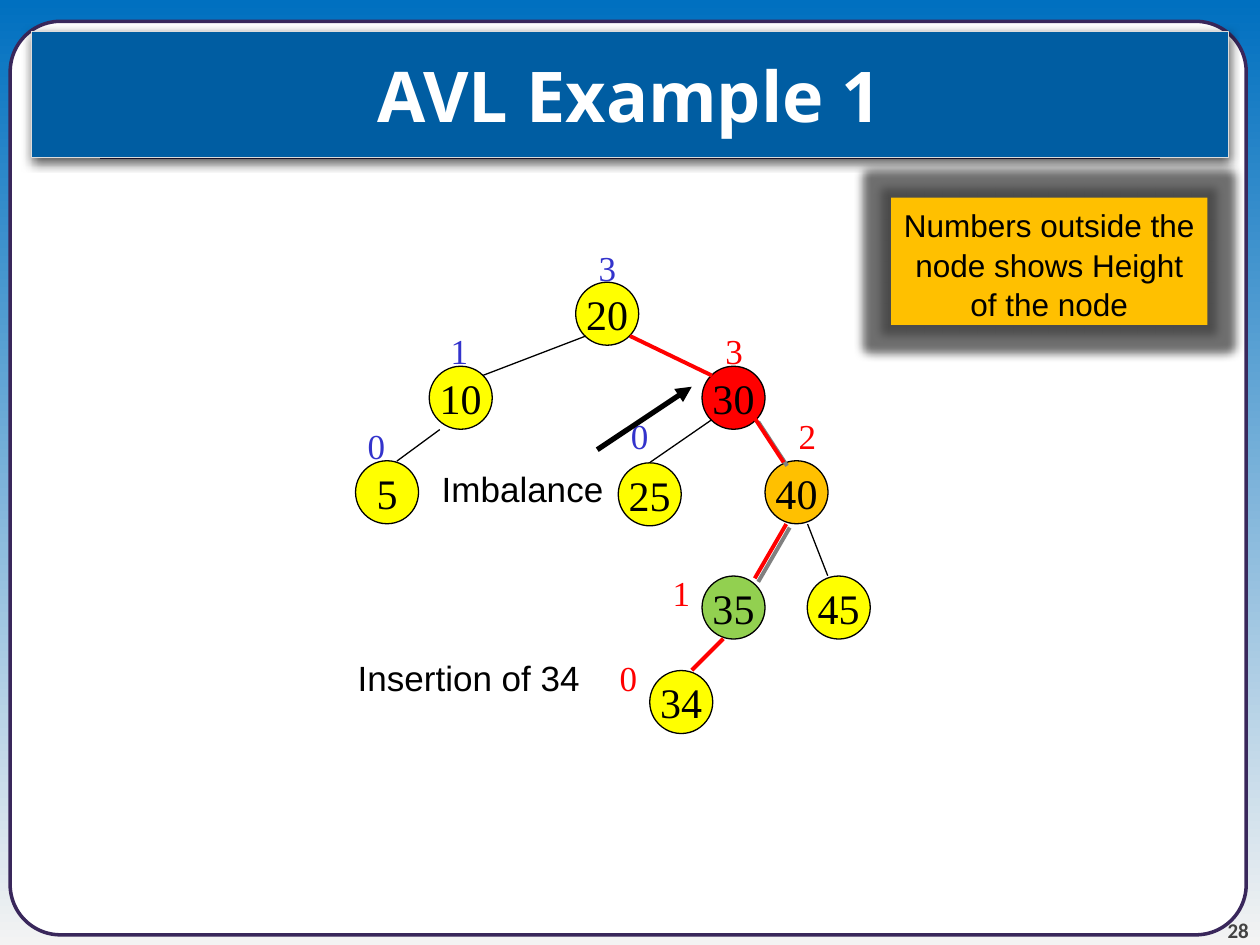
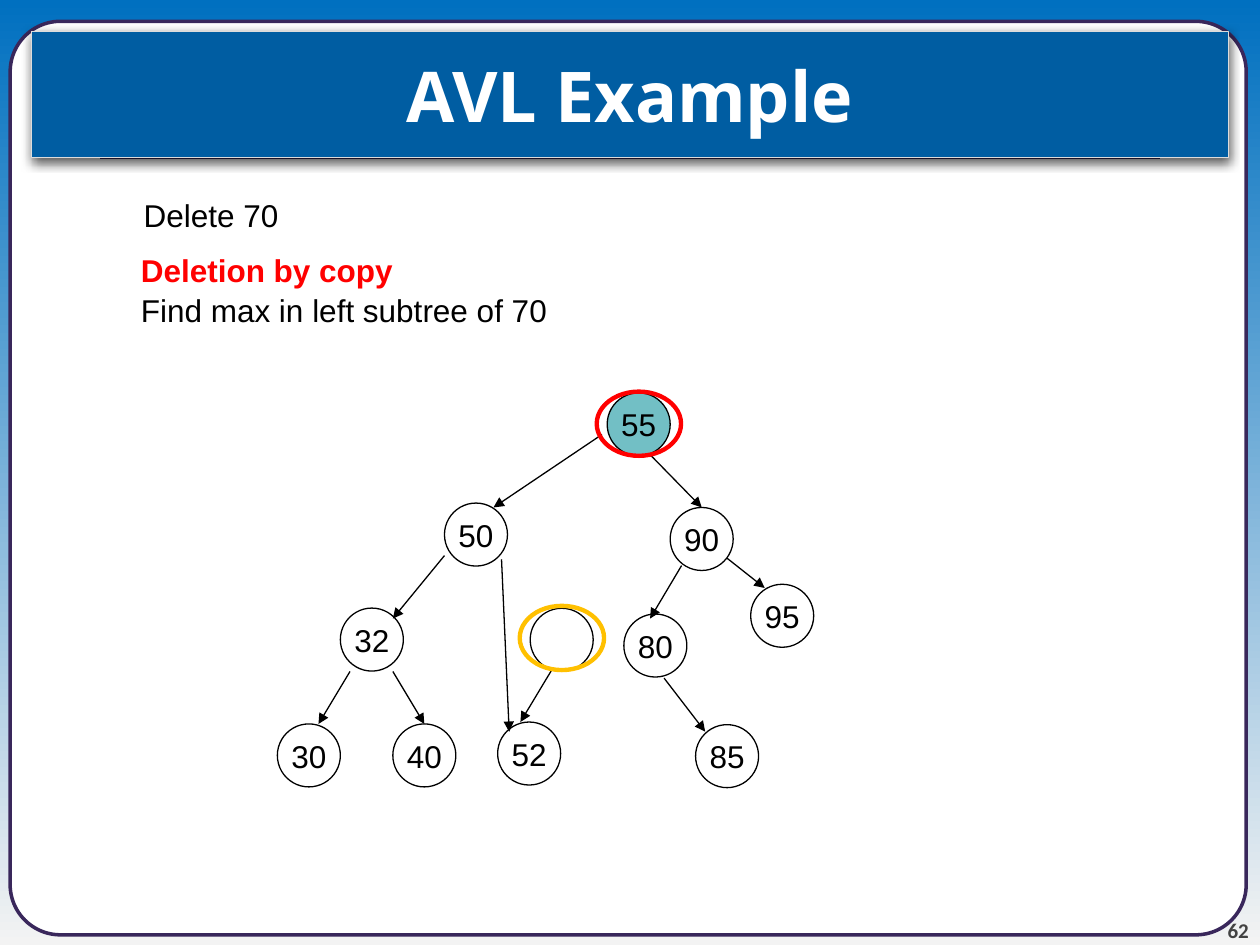
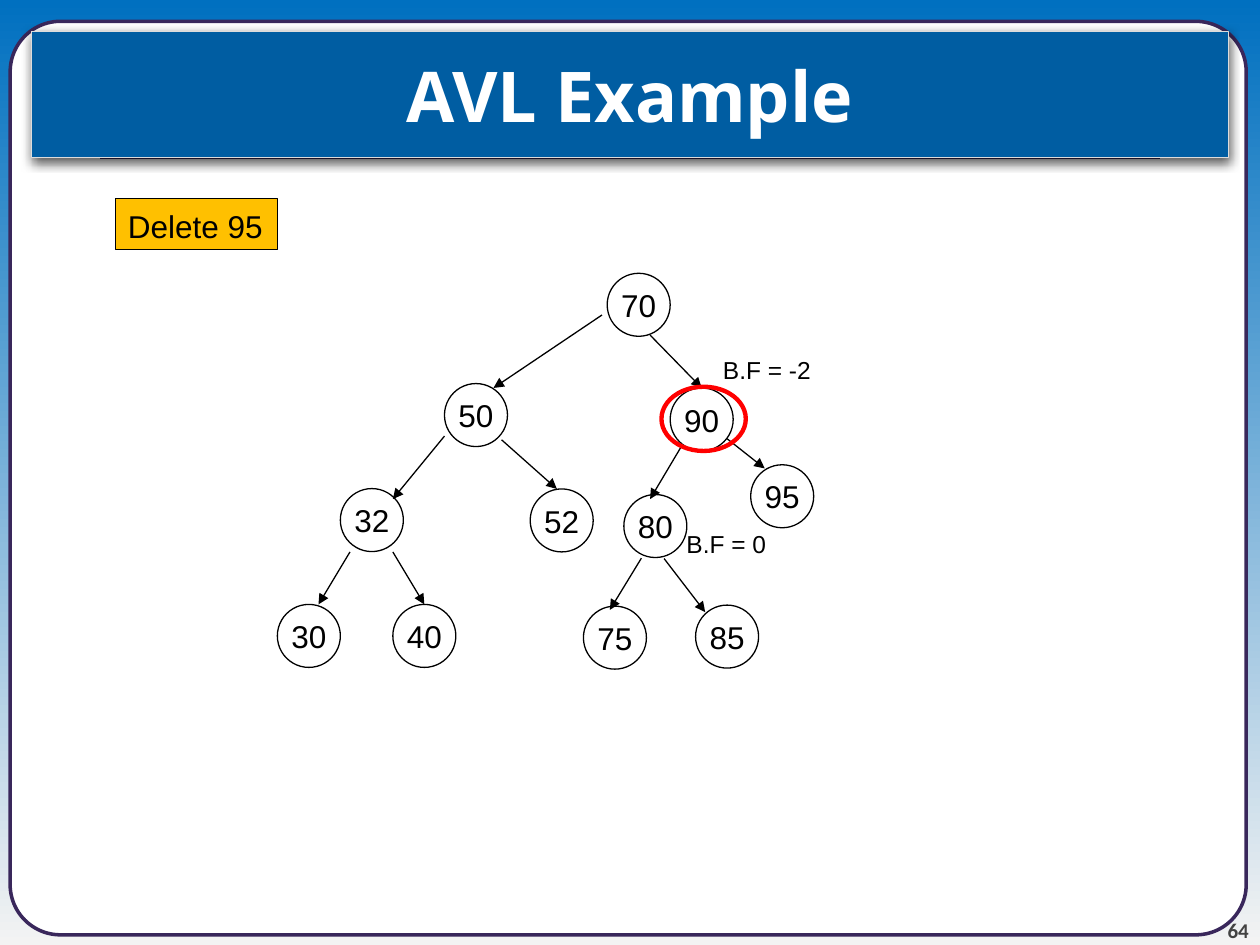
from lxml.etree import SubElement
from pptx import Presentation
from pptx.dml.color import RGBColor
from pptx.enum.shapes import MSO_CONNECTOR, MSO_SHAPE
from pptx.enum.text import MSO_ANCHOR, PP_ALIGN
from pptx.oxml.ns import qn
from pptx.util import Pt

BLACK, WHITE, RED = "000000", "FFFFFF", "FF0000"
BLUE, YELLOW, AMBER = "3333CC", "FFFF00", "FFC000"
GREEN, TEAL, GREY = "92D050", "72BFC5", "808080"
PURPLE, TITLE_BLUE = "39275B", "005DA2"
SANS, SERIF = "Arial", "Times New Roman"
NODE = 36

# Tree shared by the deletion slides; y is measured from the top of the root.
TREE_NODES = [
    ("50", 254, 63, None), ("32", 194.5, 123, None),
    ("30", 158.5, 189.2, None), ("40", 224.5, 189.2, None),
    ("90", 383, 65.5, WHITE), ("95", 429, 109.4, None),
    ("80", 356.5, 126.4, None), ("85", 397.5, 189.6, WHITE),
]
TREE_EDGES = [
    (344, 23.8, 282, 65.5), (371.5, 35.3, 401, 65.5),
    (254, 93, 224.5, 129), (200, 159.2, 182, 189.2),
    (224.5, 159.2, 242.5, 189.2), (415.5, 94.5, 437, 111.5),
    (389.5, 98.7, 371.5, 129), (379.5, 163, 403, 193.6),
]


def rgb(color):
    return RGBColor.from_string(color)


def set_effect(sp, kind=None, color=BLACK, alpha=100, **attrs):
    """Replace the theme effects with one glow or shadow, or with none."""
    sp_pr = sp.element.spPr
    for old in sp_pr.findall(qn("a:effectLst")):
        sp_pr.remove(old)
    effects = SubElement(sp_pr, qn("a:effectLst"))
    if kind:
        effect = SubElement(effects, qn("a:" + kind),
                            {k: str(v) for k, v in attrs.items()})
        clr = SubElement(effect, qn("a:srgbClr"), val=color)
        SubElement(clr, qn("a:alpha"), val=str(alpha * 1000))


def add_figure(s, kind, x, y, w, h, fill=None, line=None, width=0.75):
    sp = s.shapes.add_shape(kind, Pt(x), Pt(y), Pt(w), Pt(h))
    if fill:
        sp.fill.solid()
        sp.fill.fore_color.rgb = rgb(fill)
    else:
        sp.fill.background()
    if line:
        sp.line.color.rgb = rgb(line)
        sp.line.width = Pt(width)
    else:
        sp.line.fill.background()
    set_effect(sp)
    return sp


def write(sp, lines, size, font=SANS, color=BLACK, bold=False,
          align=PP_ALIGN.LEFT, anchor=MSO_ANCHOR.TOP, wrap=False, spacing=1.0):
    """Fill a shape with lines, each a text or a (text, color, bold) tuple."""
    tf = sp.text_frame
    tf.word_wrap = wrap
    tf.vertical_anchor = anchor
    for i, line in enumerate(lines):
        text, c, b = (line, color, bold) if isinstance(line, str) else line
        p = tf.add_paragraph() if i else tf.paragraphs[0]
        p.alignment = align
        p.line_spacing = spacing
        r = p.add_run()
        r.text = text
        r.font.name = font
        r.font.size = Pt(size)
        r.font.bold = b
        r.font.color.rgb = rgb(c)


def add_label(s, x, y, w, h, lines, size, **style):
    box = s.shapes.add_textbox(Pt(x), Pt(y), Pt(w), Pt(h))
    write(box, lines, size, **style)
    return box


def add_height(s, text, x, y, color):
    add_label(s, x, y, 24.5, 31.5, [text], 20, font=SERIF, color=color)


def add_node(s, text, x, y, fill=None, size=18, font=SANS):
    sp = add_figure(s, MSO_SHAPE.OVAL, x, y, NODE, NODE, fill, BLACK)
    if text:
        write(sp, [text], size, font, align=PP_ALIGN.CENTER,
              anchor=MSO_ANCHOR.MIDDLE)


def add_ring(s, x, y, color):
    add_figure(s, MSO_SHAPE.OVAL, x, y, 48.2, 36.7, None, color, 2.5)


def add_edge(s, x1, y1, x2, y2, color=BLACK, width=0.75, arrow=False,
             shadow=False):
    c = s.shapes.add_connector(MSO_CONNECTOR.STRAIGHT,
                               Pt(x1), Pt(y1), Pt(x2), Pt(y2))
    c.line.color.rgb = rgb(color)
    c.line.width = Pt(width)
    if arrow:
        SubElement(c.line._get_or_add_ln(), qn("a:tailEnd"), type="triangle")
    if shadow:
        set_effect(c, "outerShdw", GREY, dist=Pt(2.8), dir=45 * 60000)
    else:
        set_effect(c)


def add_slide(prs, title, number):
    s = prs.slides.add_slide(prs.slide_layouts[6])
    fill = s.background.fill
    fill.gradient()
    fill.gradient_angle = 270
    for stop, color in zip(fill.gradient_stops, ("0070C0", "F3F3F3")):
        stop.color.rgb = rgb(color)

    frame = add_figure(s, MSO_SHAPE.ROUNDED_RECTANGLE, 5.8, 12.2, 706.3, 522,
                       WHITE, PURPLE, 2)
    frame.adjustments[0] = 0.055
    box = add_label(s, 653.8, 509.8, 59.8, 28.8, [str(number)], 12,
                    font="Calibri", color="424242", bold=True,
                    align=PP_ALIGN.RIGHT, anchor=MSO_ANCHOR.BOTTOM, wrap=True)
    tf = box.text_frame
    tf.margin_left = tf.margin_right = tf.margin_top = tf.margin_bottom = 0
    add_edge(s, 57, 90, 663, 90, PURPLE, 2.25)
    band = add_figure(s, MSO_SHAPE.RECTANGLE, 18, 18, 684, 72,
                      TITLE_BLUE, "DCDCDC")
    set_effect(band, "outerShdw", alpha=63, blurRad=Pt(6), dist=Pt(2),
               dir=90 * 60000)
    write(band, [title], 40, "Open Sans", WHITE, True, PP_ALIGN.CENTER,
          MSO_ANCHOR.MIDDLE, wrap=True)
    return s


def add_deletion_tree(s, root, top, root_fill=None):
    add_node(s, root, 347, top, root_fill)
    for text, x, y, fill in TREE_NODES:
        add_node(s, text, x, top + y, fill)
    for x1, y1, x2, y2 in TREE_EDGES:
        add_edge(s, x1, top + y1, x2, top + y2, arrow=True)


def add_insertion_slide(prs):
    s = add_slide(prs, "AVL Example 1", 28)
    for text, x, y, color in [
            ("3", 407.5, 185, RED), ("0", 353.5, 233.3, BLUE),
            ("3", 335, 137.5, BLUE), ("1", 250.5, 185, BLUE),
            ("2", 449.3, 233.3, RED), ("0", 203, 239, BLUE),
            ("0", 347, 371.5, RED), ("1", 377.3, 323.3, RED)]:
        add_height(s, text, x, y, color)
    for text, x, y, fill in [
            ("20", 329, 161.3, YELLOW), ("10", 245.3, 209.3, YELLOW),
            ("30", 401.2, 209.3, RED), ("25", 353.3, 264.5, YELLOW),
            ("40", 437.2, 263.3, AMBER), ("5", 203.2, 263.3, YELLOW),
            ("45", 461.3, 329.2, YELLOW), ("35", 401.2, 329.2, GREEN),
            ("34", 371.3, 383.2, YELLOW)]:
        add_node(s, text, x, y, fill, 24, SERIF)
    for ends in [(334.8, 192, 275.8, 214.6), (406.8, 239.8, 371.5, 264.2),
                 (251.3, 245.5, 226.8, 263.5), (461.5, 299.5, 473, 329)]:
        add_edge(s, *ends)
    for *ends, shadow in [(360, 192, 406.8, 214.6, False),
                          (431.3, 239, 447.8, 264.2, True),
                          (449.3, 299.5, 431.3, 330.5, True),
                          (413.3, 365, 395.3, 383, False)]:
        add_edge(s, *ends, RED, 2.25, shadow=shadow)
    add_edge(s, 341.3, 257, 395.3, 221, width=3, arrow=True)
    add_label(s, 245.3, 263.5, 108, 31.5, ["Imbalance"], 20, wrap=True)
    add_label(s, 197.3, 371.5, 149.8, 31.5, ["Insertion of 34"], 20, wrap=True)
    note = add_figure(s, MSO_SHAPE.RECTANGLE, 509.2, 113, 180.7, 72.7, AMBER)
    set_effect(note, "glow", "404040", 75, rad=Pt(11))
    write(note, ["Numbers outside the node shows Height of the node"], 18,
          align=PP_ALIGN.CENTER, wrap=True, spacing=1.05)


def add_copy_deletion_slide(prs):
    s = add_slide(prs, "AVL Example", 62)
    add_deletion_tree(s, "55", 224.5, TEAL)
    add_node(s, "", 303, 347.6)
    add_node(s, "52", 284.4, 412.6)
    add_edge(s, 286.6, 319.6, 291, 418.2, arrow=True)
    add_edge(s, 315.2, 383, 297.4, 412.6, arrow=True)
    add_ring(s, 341, 223.8, RED)
    add_ring(s, 297, 346.2, AMBER)
    add_label(s, 75, 107.3, 92, 29, ["Delete 70"], 18, spacing=1.05)
    add_label(s, 73.4, 139, 254, 51,
              [("Deletion by copy", RED, True),
               "Find max in left subtree of 70"], 18, spacing=1.05)


def add_balance_slide(prs):
    s = add_slide(prs, "AVL Example", 64)
    add_deletion_tree(s, "70", 156.2)
    add_node(s, "52", 303, 279.4)
    add_node(s, "75", 333.4, 346.4, WHITE)
    add_edge(s, 286.6, 251.3, 318.2, 279.4, arrow=True)
    add_edge(s, 366.5, 319, 348.5, 348.5, arrow=True)
    add_ring(s, 378, 221, RED)
    tag = add_figure(s, MSO_SHAPE.RECTANGLE, 66, 113.5, 92.5, 29, AMBER, BLACK)
    write(tag, ["Delete 95"], 18, spacing=1.05)
    add_label(s, 385.2, 298, 60.5, 24.3, ["B.F = 0"], 14, spacing=1.05)
    add_label(s, 406, 198.7, 64.5, 24.3, ["B.F = -2"], 14, spacing=1.05)


def main():
    prs = Presentation()
    prs.slide_width, prs.slide_height = Pt(720), Pt(540)
    add_insertion_slide(prs)
    add_copy_deletion_slide(prs)
    add_balance_slide(prs)
    prs.save("out.pptx")


if __name__ == "__main__":
    main()
